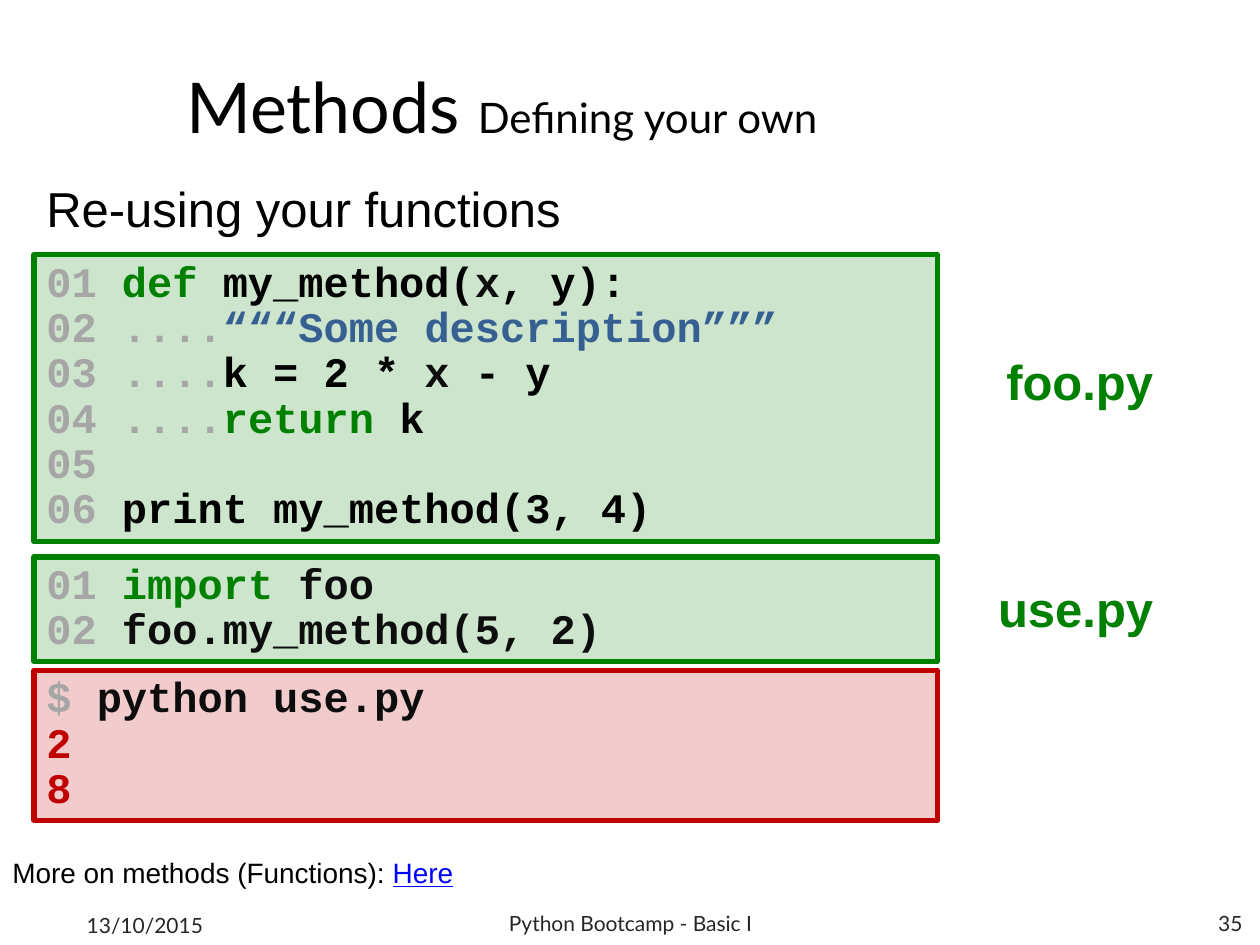
from lxml.etree import SubElement
from pptx import Presentation
from pptx.dml.color import RGBColor
from pptx.enum.shapes import MSO_SHAPE
from pptx.enum.text import MSO_ANCHOR, PP_ALIGN
from pptx.oxml.ns import qn
from pptx.util import Inches, Pt

COLORS = {
    "black": "000000",
    "ink": "0D0D0D",
    "footer": "262626",
    "gray": "A6A6A6",
    "green": "008000",
    "blue": "376092",
    "red": "C00000",
    "link": "0000FF",
}
CODE_LEFT, CODE_WIDTH = 0.27, 7.17

# Code lines: each is a list of (text, color) runs
FOO_CODE = [
    [("01 ", "gray"), ("def ", "green"), ("my_method(", "black"),
     ("x", "ink"), (", y):", "black")],
    [("02 ....", "gray"), ("“““Some description”””", "blue")],
    [("03 ....", "gray"), ("k = 2 * ", "black"), ("x", "ink"), (" - y", "black")],
    [("04 ....", "gray"), ("return ", "green"), ("k", "black")],
    [("05", "gray")],
    [("06 ", "gray"), ("print my_method(3, 4)", "black")],
]
USE_CODE = [
    [("01 ", "gray"), ("import ", "green"), ("foo", "ink")],
    [("02 ", "gray"), ("foo.my_method(5, 2)", "ink")],
]
SHELL = [
    [("$ ", "gray"), ("python use.py", "ink")],
    [("2", "red")],
    [("8", "red")],
]


def rgb(name):
    return RGBColor.from_string(COLORS[name])


def add_run(p, text, color, size, font, bold=False):
    r = p.add_run()
    r.text = text
    r.font.size = Pt(size)
    r.font.name = font
    r.font.bold = bold
    r.font.color.rgb = rgb(color)
    return r


def add_label(slide, box, text, size, color="black", font="Arial", bold=False,
              align=PP_ALIGN.LEFT, anchor=MSO_ANCHOR.TOP):
    """Add a one-line text box and return its paragraph."""
    tf = slide.shapes.add_textbox(*map(Inches, box)).text_frame
    tf.word_wrap = True
    tf.vertical_anchor = anchor
    p = tf.paragraphs[0]
    p.alignment = align
    add_run(p, text, color, size, font, bold)
    return p


def add_code_box(slide, top, height, color, lines):
    """Add a tinted, outlined box of colored code lines."""
    sp = slide.shapes.add_shape(
        MSO_SHAPE.RECTANGLE, Inches(CODE_LEFT), Inches(top),
        Inches(CODE_WIDTH), Inches(height))
    sp.shadow.inherit = False
    sp.fill.solid()
    sp.fill.fore_color.rgb = rgb(color)
    fill = sp._element.spPr.find(qn("a:solidFill"))
    SubElement(fill[0], qn("a:alpha"), val="20000")
    sp.line.color.rgb = rgb(color)
    sp.line.width = Pt(3)

    tf = sp.text_frame
    tf.word_wrap = True
    tf.vertical_anchor = MSO_ANCHOR.TOP
    for i, line in enumerate(lines):
        p = tf.add_paragraph() if i else tf.paragraphs[0]
        p.alignment = PP_ALIGN.LEFT
        p.line_spacing = 0.9
        for text, run_color in line:
            add_run(p, text, run_color, 24, "Courier New", bold=True)


def main():
    prs = Presentation()
    prs.slide_width, prs.slide_height = Inches(10), Inches(7.5)
    slide = prs.slides.add_slide(prs.slide_layouts[6])

    # Title and subtitle
    p = add_label(slide, (1.38, 0.44, 8.12, 0.79), "Methods ", 40,
                  font="Lato", anchor=MSO_ANCHOR.MIDDLE)
    add_run(p, "Defining your own", "black", 24, "Lato")
    add_label(slide, (CODE_LEFT, 1.37, CODE_WIDTH, 0.57),
              "Re-using your functions", 28)

    # Code and shell output
    add_code_box(slide, 2.02, 2.28, "green", FOO_CODE)
    add_code_box(slide, 4.42, 0.83, "green", USE_CODE)
    add_code_box(slide, 5.32, 1.19, "red", SHELL)

    # File names
    for top, name in ((2.74, "foo.py"), (4.54, "use.py")):
        add_label(slide, (1.77, top, 7.48, 0.57), name, 28, "green",
                  bold=True, align=PP_ALIGN.RIGHT)

    # Further reading
    p = add_label(slide, (0, 6.74, 10, 0.37), "More on methods (Functions): ", 16)
    add_run(p, "Here", "link", 16, "Arial").font.underline = True

    # Footer
    for box, text, align in (
        ((0.59, 7.14, 2.33, 0.4), "13/10/2015", PP_ALIGN.LEFT),
        ((3.42, 7.13, 3.17, 0.4), "Python Bootcamp - Basic I", PP_ALIGN.CENTER),
        ((7.63, 7.13, 2.33, 0.4), "35", PP_ALIGN.RIGHT),
    ):
        add_label(slide, box, text, 12, "footer", "Lato", align=align,
                  anchor=MSO_ANCHOR.MIDDLE)

    prs.save("out.pptx")


if __name__ == "__main__":
    main()
